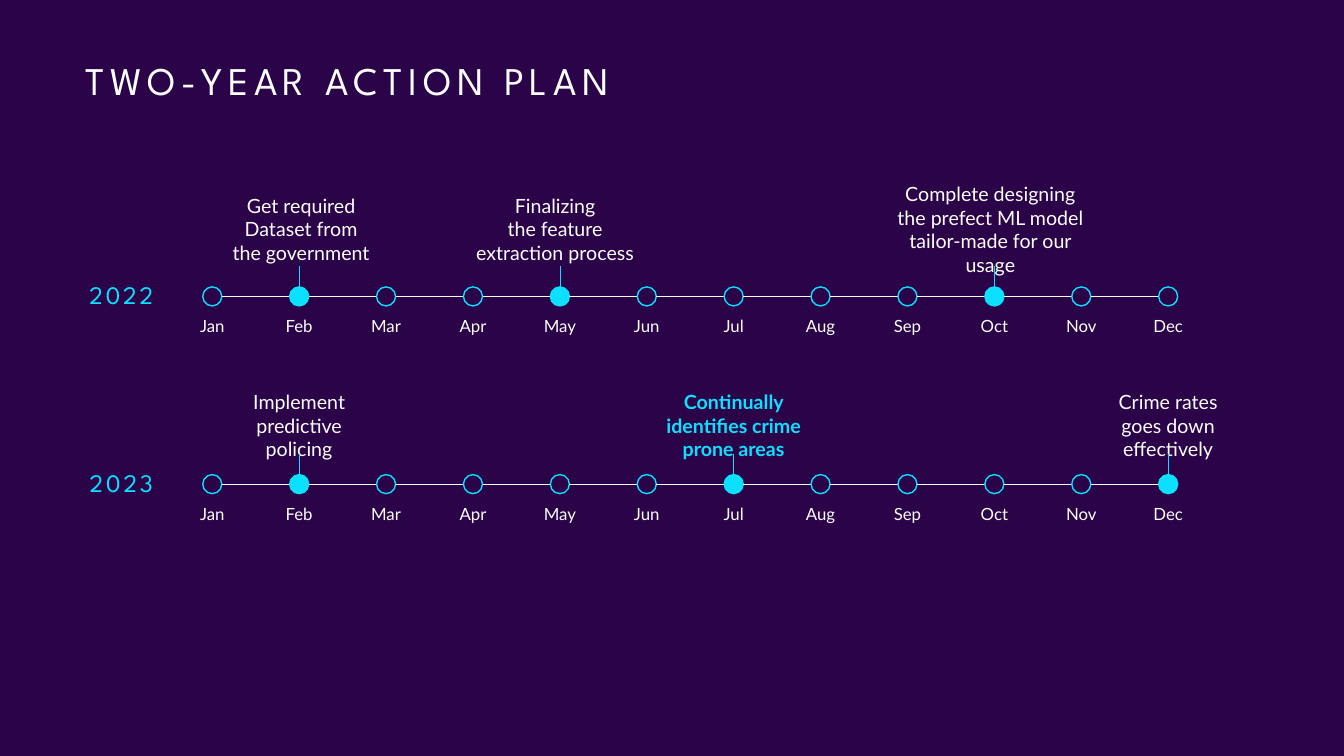
from dataclasses import dataclass

from lxml.etree import SubElement
from pptx import Presentation
from pptx.dml.color import RGBColor
from pptx.enum.shapes import MSO_CONNECTOR, MSO_SHAPE
from pptx.enum.text import MSO_ANCHOR, MSO_AUTO_SIZE, PP_ALIGN
from pptx.oxml.ns import qn
from pptx.util import Cm, Pt


@dataclass(frozen=True)
class Theme:
    back: RGBColor = RGBColor(0x2B, 0x03, 0x48)
    text: RGBColor = RGBColor(0xFF, 0xFF, 0xFF)
    glow: RGBColor = RGBColor(0x0B, 0xE1, 0xFF)
    head: str = "League Spartan"
    body: str = "Lato"
    title: int = 28
    year: int = 18
    goal: int = 14
    month: int = 12


THEME = Theme()
MONTHS = "Jan Feb Mar Apr May Jun Jul Aug Sep Oct Nov Dec".split()
LEFT, STEP, SIZE = 5.35, 2.19, 0.48  # first dot centre, pitch, dot width in cm

# Year, axis height, gap from axis to goal centre, and goals by month:
# (text, box width, shift from the dot, strong)
PLAN = [
    ("2022", 7.47, 1.7, {
        "Feb": ("Get required\nDataset from\nthe government", 4.72, 0.05, False),
        "May": ("Finalizing\nthe feature extraction process", 4.72, -0.12, False),
        "Oct": ("Complete designing\nthe prefect ML model\n"
                "tailor-made for our usage", 5.8, -0.1, False),
    }),
    ("2023", 12.2, 1.48, {
        "Feb": ("Implement predictive policing", 4, 0, False),
        "Jul": ("Continually identifies crime prone areas", 4, 0, True),
        "Dec": ("Crime rates\ngoes down effectively", 4, 0, False),
    }),
]


def style(frame, size, color, font=THEME.body, align=PP_ALIGN.CENTER,
          space=1.0, track=0, bold=False):
    """Format all text in the frame; track is letter spacing in points."""
    for para in frame.paragraphs:
        para.alignment = align
        para.line_spacing = space
        for run in para.runs:
            run.font.size = Pt(size)
            run.font.name = font
            run.font.bold = bold
            run.font.color.rgb = color
            if track:
                run._r.get_or_add_rPr().set("spc", str(track * 100))


def add_title(slide, text):
    title = slide.shapes.title
    title.left, title.top = Cm(1.9), Cm(1.42)
    title.width, title.height = Cm(29.2), Cm(2.03)
    frame = title.text_frame
    frame.text = text
    frame.auto_size = MSO_AUTO_SIZE.NONE
    frame.vertical_anchor = MSO_ANCHOR.TOP
    style(frame, THEME.title, THEME.text, THEME.head, PP_ALIGN.LEFT, 0.9, 4)


def add_text(slide, text, mid, top, width, height, anchor=MSO_ANCHOR.MIDDLE):
    """Add a text box centred across on mid and return its frame."""
    box = slide.shapes.add_textbox(Cm(mid - width / 2), Cm(top), Cm(width), Cm(height))
    frame = box.text_frame
    frame.word_wrap = True
    frame.vertical_anchor = anchor
    frame.text = text
    return frame


def add_line(slide, x1, y1, x2, y2, color):
    line = slide.shapes.add_connector(
        MSO_CONNECTOR.STRAIGHT, Cm(x1), Cm(y1), Cm(x2), Cm(y2))
    line.line.color.rgb = color
    line.line.width = Pt(0.5)
    SubElement(line._element.spPr, qn("a:effectLst"))


def add_dot(slide, x, y, full):
    dot = slide.shapes.add_shape(
        MSO_SHAPE.OVAL, Cm(x - SIZE / 2), Cm(y - SIZE / 2), Cm(SIZE), Cm(SIZE))
    dot.shadow.inherit = False
    dot.line.color.rgb = THEME.glow
    dot.line.width = Pt(1)
    if full:
        dot.fill.solid()
        dot.fill.fore_color.rgb = THEME.glow
    else:
        dot.fill.background()


def add_month(slide, name, x, y):
    frame = add_text(slide, name, x, y + 0.24, 1.37, 1, MSO_ANCHOR.TOP)
    frame.margin_left = frame.margin_right = 0
    style(frame, THEME.month, THEME.text, space=1.25)


def add_goal(slide, goal, x, y, gap):
    text, width, shift, strong = goal
    height = 1.63
    frame = add_text(slide, text, x + shift, y - gap - height / 2, width, height)
    style(frame, THEME.goal, THEME.glow if strong else THEME.text, bold=strong)
    add_line(slide, x, y - 0.76, x, y + 0.18, THEME.glow)


def add_year(slide, year, y, gap, goals):
    frame = add_text(slide, year, 3.06, y - 0.7, 3.33, 1.4)
    style(frame, THEME.year, THEME.glow, THEME.head, space=0.9, track=2)
    for i, name in enumerate(MONTHS):
        x = LEFT + i * STEP
        if i:
            add_line(slide, x - STEP + SIZE / 2, y, x - SIZE / 2, y, THEME.text)
        add_month(slide, name, x, y)
        add_dot(slide, x, y, name in goals)
        if name in goals:
            add_goal(slide, goals[name], x, y, gap)


def main():
    deck = Presentation()
    deck.slide_width, deck.slide_height = Cm(33.87), Cm(19.05)
    slide = deck.slides.add_slide(deck.slide_layouts[5])
    slide.background.fill.solid()
    slide.background.fill.fore_color.rgb = THEME.back
    add_title(slide, "TWO-YEAR ACTION PLAN")
    for row in PLAN:
        add_year(slide, *row)
    deck.save("out.pptx")


if __name__ == "__main__":
    main()
